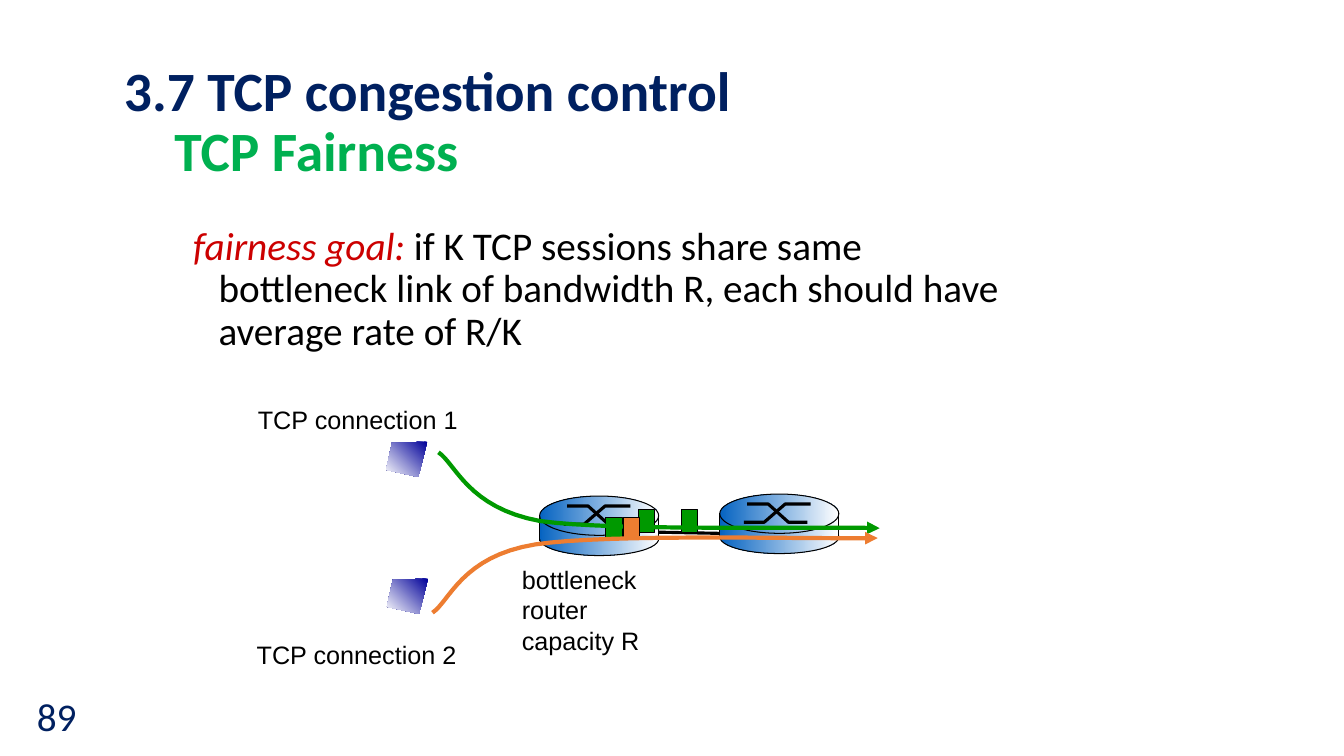
from pptx import Presentation
from pptx.dml.color import RGBColor
from pptx.enum.shapes import MSO_CONNECTOR as CONNECTOR, MSO_SHAPE as SHAPE
from pptx.enum.text import MSO_ANCHOR as ANCHOR, PP_ALIGN as ALIGN
from pptx.oxml.ns import qn
from pptx.util import Cm, Pt
from lxml.etree import SubElement

NAVY, BLACK, GREEN, ORANGE = "002060", "000000", "009900", "ED7D31"
ROUTER_BLUE, HOST_BLUE, WHITE = "0563C1", "000099", "FFFFFF"
HEADING = {"name": "Calibri", "size": Pt(39.6), "bold": True}
BODY = {"name": "Calibri", "size": Pt(28)}
LABEL = {"name": "Arial", "size": Pt(18)}


def rgb(hex_color):
    return RGBColor.from_string(hex_color)


def set_attributes(target, values):
    for name, value in values.items():
        setattr(target, name, value)


def add_run(paragraph, text, color, font):
    run = paragraph.add_run()
    run.text = text
    set_attributes(run.font, font)
    run.font.color.rgb = rgb(color)


def add_text(slide, box, lines, color, font, frame_format, align=ALIGN.LEFT):
    frame = slide.shapes.add_textbox(*map(Cm, box)).text_frame
    set_attributes(frame, frame_format)
    for index, line in enumerate(lines):
        paragraph = frame.add_paragraph() if index else frame.paragraphs[0]
        paragraph.alignment = align
        add_run(paragraph, line, color, font)
    return frame


def outline(shape, color, width):
    shape.line.color.rgb = rgb(color)
    shape.line.width = Pt(width)


def paint_gradient(shape, color, angle):
    shape.fill.gradient()
    shape.fill.gradient_angle = angle
    for stop, stop_color in zip(shape.fill.gradient_stops, (color, WHITE)):
        stop.color.rgb = rgb(stop_color)


def add_line(shapes, start, end, width):
    line = shapes.add_connector(CONNECTOR.STRAIGHT, *map(Cm, (*start, *end)))
    outline(line, BLACK, width)
    SubElement(line._element.spPr, qn("a:effectLst"))


def add_path(shapes, left, top, points, close=False):
    corners = [(Cm(left + x), Cm(top + y)) for x, y in points]
    builder = shapes.build_freeform(*corners[0])
    builder.add_line_segments(corners[1:], close=close)
    path = builder.convert_to_shape()
    path.shadow.inherit = False
    return path


def bezier_points(knots, steps=16):
    """Sample a chain of cubic curves given as start, then triples of points."""
    points = [knots[0]]
    for first in range(0, len(knots) - 1, 3):
        curve = knots[first:first + 4]
        for step in range(1, steps + 1):
            t = step / steps
            weights = ((1 - t) ** 3, 3 * t * (1 - t) ** 2, 3 * t * t * (1 - t), t ** 3)
            points.append(tuple(sum(w * knot[axis] for w, knot in zip(weights, curve))
                                for axis in (0, 1)))
    return points


def add_flow(slide, left, top, knots, color):
    flow = add_path(slide.shapes, left, top, bezier_points(knots))
    flow.fill.background()
    outline(flow, color, 3)
    SubElement(flow.line._get_or_add_ln(), qn("a:tailEnd"), type="triangle")


def add_packet(slide, left, top, color):
    packet = slide.shapes.add_shape(SHAPE.RECTANGLE, *map(Cm, (left, top, 0.41, 0.56)))
    packet.shadow.inherit = False
    packet.fill.solid()
    packet.fill.fore_color.rgb = rgb(color)
    outline(packet, BLACK, 0.75)


def add_host(slide, left, top):
    screen = [(1.04, 0), (0.15, 0.03), (0, 0.71), (0.81, 0.89)]
    host = add_path(slide.shapes, left, top, screen, close=True)
    paint_gradient(host, HOST_BLUE, 225)
    host.line.fill.background()


def add_router(slide, left, top, width=3):
    shapes = slide.shapes.add_group_shape().shapes
    for kind, offset, height in ((SHAPE.OVAL, 0.66, 0.84),
                                 (SHAPE.RECTANGLE, 0.58, 0.51),
                                 (SHAPE.OVAL, 0, 0.99)):
        part = shapes.add_shape(kind, *map(Cm, (left, top + offset, width, height)))
        part.shadow.inherit = False
        paint_gradient(part, ROUTER_BLUE, 0)
        if kind == SHAPE.OVAL:
            outline(part, BLACK, 0.75)
        else:
            part.line.fill.background()
    for xs, start, end in (((0.61, 1.12, 1.65, 2.29), 0.71, 0.25),
                           ((0.69, 1.22, 1.73, 2.21), 0.25, 0.71)):
        stroke = add_path(shapes, left, top, list(zip(xs, (start, start, end, end))))
        stroke.fill.background()
        outline(stroke, BLACK, 2.25)
    for x in (left, left + width):
        add_line(shapes, (x, top + 0.48), (x, top + 1.13), 0.75)


def add_heading(slide, box):
    title = slide.shapes.title
    set_attributes(title, dict(zip(("left", "top", "width", "height"), map(Cm, box))))
    set_attributes(title.text_frame, {"vertical_anchor": ANCHOR.MIDDLE, "word_wrap": True})
    paragraph = title.text_frame.paragraphs[0]
    set_attributes(paragraph, {"alignment": ALIGN.LEFT, "line_spacing": 0.9})
    add_run(paragraph, "3.7 TCP congestion control", NAVY, HEADING)
    paragraph.add_line_break()
    add_run(paragraph, "\t", NAVY, HEADING)
    add_run(paragraph, "TCP Fairness", "00B050", HEADING)


def add_goal(slide, box):
    frame = add_text(slide, box, ["fairness goal:"], "CC0000",
                     {**BODY, "italic": True}, {"word_wrap": True})
    goal = frame.paragraphs[0]
    goal.line_spacing = 0.9
    indent = Cm(0.64)
    properties = goal._p.get_or_add_pPr()
    properties.set("marL", str(indent))
    properties.set("indent", str(-indent))
    add_run(goal, " if K TCP sessions share same bottleneck link of bandwidth R, "
                  "each should have average rate of R/K", BLACK, BODY)


def add_network(slide, left, top):
    add_line(slide.shapes, (left + 10.39, top + 3.41), (left + 11.94, top + 3.44), 2.25)
    for x, y in ((7.4, 2.5), (11.94, 2.45)):
        add_router(slide, left + x, top + y)
    flows = (
        (GREEN, ((10.97, 2.85), (9.07, 3.03), (9.88, 2.85)),
         ((4.85, 1.4), (5.28, 1.68), (5.59, 2.8), (7.41, 3.13),
          (9.27, 3.39), (14.2, 3.26), (15.97, 3.31))),
        (ORANGE, ((9.52, 3.03),),
         ((4.7, 5.44), (5.13, 5.16), (5.43, 4.02), (7.29, 3.72),
          (9.17, 3.44), (14.15, 3.59), (15.92, 3.56))),
    )
    for color, packets, knots in flows:
        for x, y in packets:
            add_packet(slide, left + x, top + y, color)
        add_flow(slide, left, top, knots, color)
    for x, y in ((3.53, 1.13), (3.55, 4.58)):
        add_host(slide, left + x, top + y)
    for x, y, width, height, lines in (
            (0.05, 0.06, 5.56, 1.02, ["TCP connection 1"]),
            (0.02, 5.98, 5.56, 1.02, ["TCP connection 2"]),
            (6.7, 4.1, 3.48, 2.54, ["bottleneck", "router", "capacity R"])):
        add_text(slide, (left + x, top + y, width, height), lines, BLACK, LABEL,
                 {"word_wrap": False})


def main():
    deck = Presentation()
    set_attributes(deck, {"slide_width": Cm(33.87), "slide_height": Cm(19.05)})
    slide = deck.slides.add_slide(deck.slide_layouts[5])
    add_heading(slide, (2.87, 1.55, 29.11, 3.12))
    add_text(slide, (0, 17, 2.18, 2.06), ["89"], NAVY, BODY,
             {"vertical_anchor": ANCHOR.MIDDLE, "word_wrap": True}, ALIGN.RIGHT)
    add_goal(slide, (4.62, 5.59, 21.16, 6.1))
    add_network(slide, 6.2, 10)
    deck.save("out.pptx")


if __name__ == "__main__":
    main()
